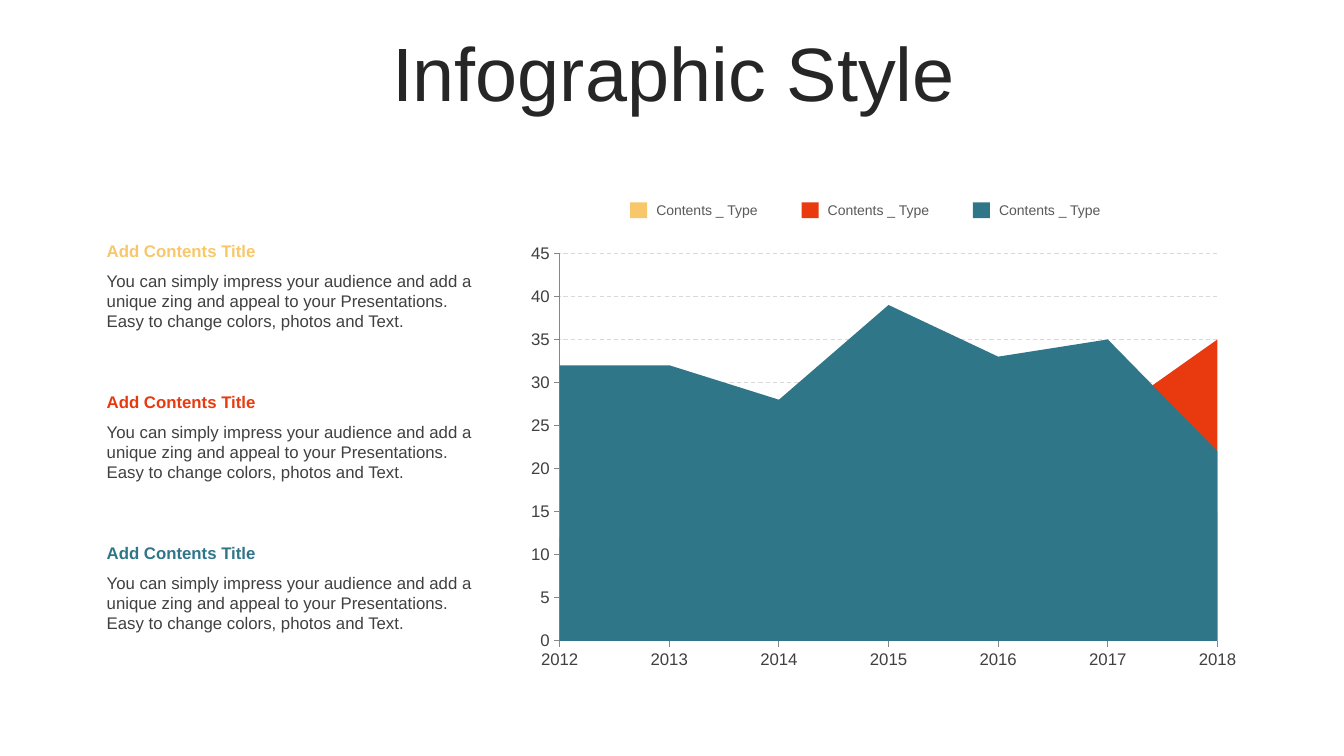
from lxml import etree
from pptx import Presentation
from pptx.chart.data import CategoryChartData
from pptx.dml.color import RGBColor
from pptx.enum.chart import XL_CHART_TYPE, XL_TICK_MARK
from pptx.enum.dml import MSO_LINE
from pptx.enum.shapes import MSO_SHAPE
from pptx.enum.text import MSO_ANCHOR, PP_ALIGN
from pptx.oxml.ns import qn
from pptx.util import Cm, Pt

AREA = XL_CHART_TYPE.AREA
TICK_OUTSIDE, TICK_NONE = XL_TICK_MARK.OUTSIDE, XL_TICK_MARK.NONE
DASH = MSO_LINE.DASH
RECTANGLE = MSO_SHAPE.RECTANGLE
TOP, MIDDLE = MSO_ANCHOR.TOP, MSO_ANCHOR.MIDDLE
LEFT, CENTER = PP_ALIGN.LEFT, PP_ALIGN.CENTER

YELLOW = RGBColor(0xF7, 0xC7, 0x6A)
RED = RGBColor(0xE9, 0x3A, 0x0F)
TEAL = RGBColor(0x30, 0x76, 0x89)
HEADING = RGBColor(0x26, 0x26, 0x26)
BODY = RGBColor(0x40, 0x40, 0x40)
LEGEND = RGBColor(0x59, 0x59, 0x59)
AXIS = RGBColor(0x86, 0x86, 0x86)
GRID = RGBColor(0xD9, 0xD9, 0xD9)

YEARS = [str(year) for year in range(2012, 2019)]
SERIES = [
    ("Series 1", (32, 32, 28, 39, 33, 35, 22), TEAL),
    ("Series 2", (12, 24, 22, 21, 28, 26, 35), RED),
    ("Series 3", (25, 19, 19, 15, 30, 25, 15), YELLOW),
]
PLOT_LAYOUT = {"x": 0.06, "y": 0.04, "w": 0.9, "h": 0.88}
DESCRIPTION = (
    "You can simply impress your audience and add a unique zing and appeal "
    "to your Presentations. Easy to change colors, photos and Text."
)


class InfographicSlide:
    font_name = "Arial"

    def __init__(self, deck):
        self.page = deck.slides.add_slide(deck.slide_layouts[6])

    def text(self, wording, left, top, width, height, size, color,
             bold=False, align=LEFT, anchor=TOP, spacing=1.0):
        box = self.page.shapes.add_textbox(Cm(left), Cm(top), Cm(width), Cm(height))
        frame = box.text_frame
        frame.word_wrap = True
        frame.vertical_anchor = anchor
        para = frame.paragraphs[0]
        para.alignment = align
        para.line_spacing = spacing
        span = para.add_run()
        span.text = wording
        span.font.name = self.font_name
        span.font.size = Pt(size)
        span.font.bold = bold
        span.font.color.rgb = color

    def legend_entry(self, wording, left, color):
        swatch = self.page.shapes.add_shape(
            RECTANGLE, Cm(left), Cm(5.1), Cm(0.43), Cm(0.4))
        swatch.shadow.inherit = False
        swatch.fill.solid()
        swatch.fill.fore_color.rgb = color
        swatch.line.fill.background()
        self.text(wording, left + 0.41, 4.95, 3.63, 0.69, 10, LEGEND, anchor=MIDDLE)

    def content_block(self, top, color):
        self.text("Add Contents Title", 2.44, top, 9.88, 0.76, 12, color, bold=True)
        self.text(DESCRIPTION, 2.44, top + 0.76, 9.88, 1.8, 12, BODY)

    def area_chart(self, left, top, width, height):
        data = CategoryChartData()
        data.categories = YEARS
        for name, values, _ in SERIES:
            data.add_series(name, values)
        chart = self.page.shapes.add_chart(
            AREA, Cm(left), Cm(top), Cm(width), Cm(height), data).chart
        chart.has_legend = False
        chart.has_title = False
        chart.font.name = self.font_name
        chart.font.size = Pt(18)
        plot = chart.plots[0]
        plot.vary_by_categories = False
        for series, (_, _, color) in zip(plot.series, SERIES):
            series.format.fill.solid()
            series.format.fill.fore_color.rgb = color
            series.format.line.fill.background()

        for axis in (chart.category_axis, chart.value_axis):
            axis.major_tick_mark = TICK_OUTSIDE
            axis.minor_tick_mark = TICK_NONE
            axis.format.line.color.rgb = AXIS
            axis.format.line.width = Pt(0.75)
            font = axis.tick_labels.font
            font.name = self.font_name
            font.size = Pt(12)
            font.color.rgb = BODY
        chart.category_axis.has_major_gridlines = False
        value_axis = chart.value_axis
        value_axis.minimum_scale, value_axis.maximum_scale = 0, 45
        value_axis.major_unit = 5
        value_axis.has_major_gridlines = True
        grid = value_axis.major_gridlines.format.line
        grid.color.rgb = GRID
        grid.width = Pt(0.75)
        grid.dash_style = DASH
        self.place_plot(chart)

    @staticmethod
    def place_plot(chart):
        """Fix the inner plot area as fractions of the chart frame."""
        plot_area = chart._chartSpace.find(".//" + qn("c:plotArea"))
        for old in plot_area.findall(qn("c:layout")):
            plot_area.remove(old)
        layout = etree.Element(qn("c:layout"))
        manual = etree.SubElement(layout, qn("c:manualLayout"))
        settings = {"layoutTarget": "inner", "xMode": "edge", "yMode": "edge"}
        for tag, value in {**settings, **PLOT_LAYOUT}.items():
            etree.SubElement(manual, qn("c:" + tag)).set("val", str(value))
        plot_area.insert(0, layout)


def main():
    deck = Presentation()
    deck.slide_width, deck.slide_height = Cm(33.87), Cm(19.05)
    slide = InfographicSlide(deck)
    slide.text("Infographic Style", 0.9, 0.93, 32.15, 2, 54, HEADING,
               align=CENTER, anchor=MIDDLE, spacing=0.9)
    slide.area_chart(13, 5.94, 18.42, 11.1)
    for index, color in enumerate((YELLOW, RED, TEAL)):
        slide.legend_entry("Contents _ Type", 15.88 + 4.32 * index, color)
        slide.content_block(5.94 + 3.8 * index, color)
    deck.save("out.pptx")


if __name__ == "__main__":
    main()
